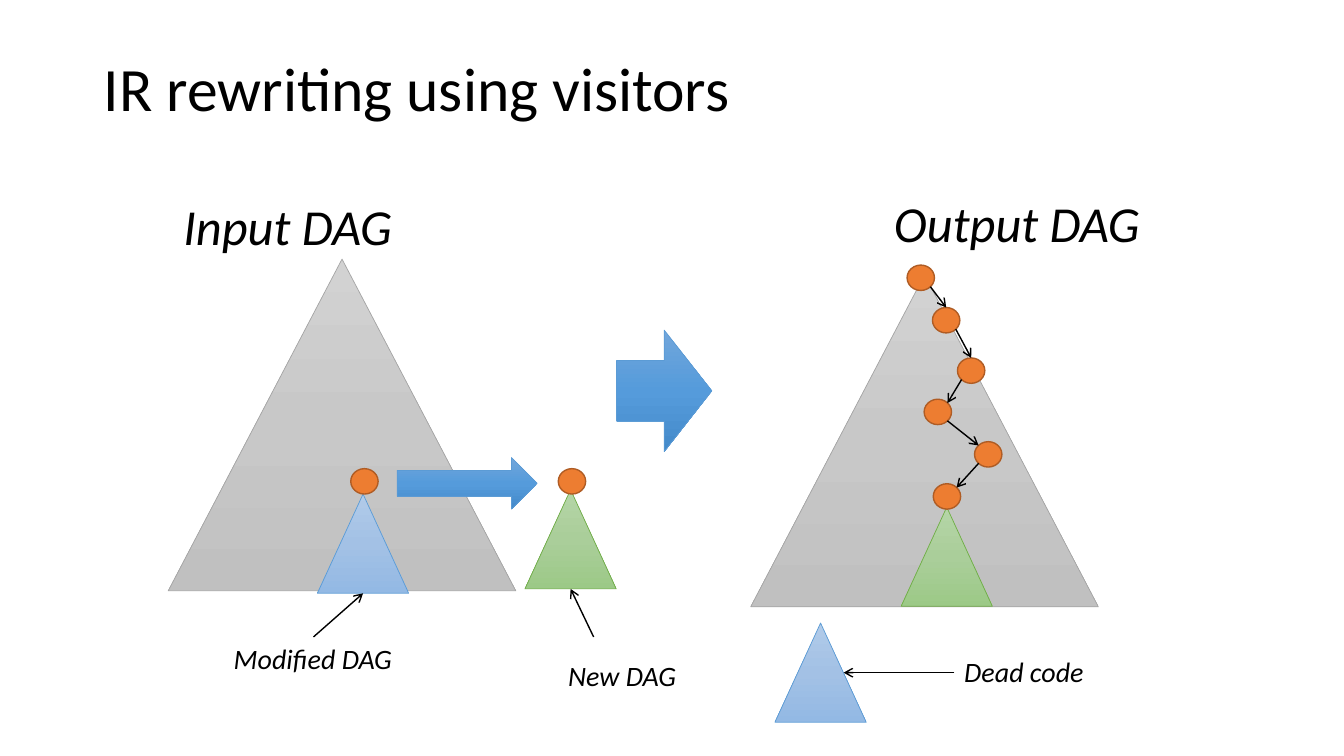
from copy import deepcopy

from lxml import etree
from pptx import Presentation
from pptx.dml.color import RGBColor
from pptx.enum.shapes import MSO_CONNECTOR, MSO_SHAPE
from pptx.enum.text import MSO_ANCHOR, MSO_AUTO_SIZE, PP_ALIGN
from pptx.oxml.ns import qn
from pptx.util import Cm, Pt

TRIANGLE = MSO_SHAPE.ISOSCELES_TRIANGLE
ELLIPSE = MSO_SHAPE.OVAL
BLOCK_ARROW = MSO_SHAPE.RIGHT_ARROW
STRAIGHT = MSO_CONNECTOR.STRAIGHT
MIDDLE = MSO_ANCHOR.MIDDLE
GROW = MSO_AUTO_SIZE.SHAPE_TO_FIT_TEXT
LEFT = PP_ALIGN.LEFT

BLACK = RGBColor(0x00, 0x00, 0x00)
ORANGE = RGBColor(0xED, 0x7D, 0x31)
ORANGE_EDGE = RGBColor(0xAF, 0x5C, 0x24)
GRAY_EDGE = RGBColor(0xA5, 0xA5, 0xA5)
GREEN_EDGE = RGBColor(0x70, 0xAD, 0x47)
BLUE_EDGE = RGBColor(0x5B, 0x9B, 0xD5)
GRAY = (RGBColor(0xD2, 0xD2, 0xD2), RGBColor(0xC8, 0xC8, 0xC8), RGBColor(0xC0, 0xC0, 0xC0))
GREEN = (RGBColor(0xB5, 0xD5, 0xA7), RGBColor(0xAA, 0xCE, 0x9A), RGBColor(0x9C, 0xC9, 0x87))
LIGHT_BLUE = (RGBColor(0xB1, 0xCB, 0xE9), RGBColor(0xA3, 0xC1, 0xE5), RGBColor(0x93, 0xB9, 0xE4))
BLUE = (RGBColor(0x71, 0xA6, 0xDB), RGBColor(0x55, 0x9B, 0xDB), RGBColor(0x44, 0x8A, 0xCA))

DAG_SIZE = (8.76, 8.36)
SUBDAG_SIZE = (2.3, 2.5)
NODE_SIZE = (0.69, 0.64)

# Points on a node's outline, as fractions of its width and height
TOP = (0.5, 0)
TOP_LEFT, TOP_RIGHT = (0.15, 0.15), (0.85, 0.15)
BOTTOM_LEFT, BOTTOM_RIGHT = (0.15, 0.85), (0.85, 0.85)

REWRITTEN_NODES = [(22.86, 6.68), (23.5, 7.75), (24.13, 9.02),
                   (23.29, 10.06), (24.56, 11.13), (23.52, 12.19)]
EDGE_ENDS = [(BOTTOM_RIGHT, TOP), (BOTTOM_RIGHT, TOP), (BOTTOM_LEFT, TOP_RIGHT),
             (BOTTOM_RIGHT, TOP_LEFT), (BOTTOM_LEFT, TOP_RIGHT)]


def write(frame, text, size, italic=False, line_spacing=None):
    paragraph = frame.paragraphs[0]
    paragraph.text = text
    paragraph.alignment = LEFT
    paragraph.line_spacing = line_spacing
    font = paragraph.runs[0].font
    font.name = "Calibri"
    font.size = Pt(size)
    font.italic = italic
    font.color.rgb = BLACK


def add_title(slide, text):
    title = slide.shapes.title
    title.left, title.top, title.width, title.height = Cm(2.36), Cm(0.71), Cm(22.86), Cm(3.18)
    title.text_frame.vertical_anchor = MIDDLE
    write(title.text_frame, text, 44, line_spacing=0.9)


def add_label(slide, text, left, top, width, height, size):
    label = slide.shapes.add_textbox(Cm(left), Cm(top), Cm(width), Cm(height))
    label.text_frame.word_wrap = False
    label.text_frame.auto_size = GROW
    write(label.text_frame, text, size, italic=True)


def add_outlined(slide, preset, position, size, edge, weight):
    shape = slide.shapes.add_shape(preset, *map(Cm, position + size))
    shape.shadow.inherit = False
    shape.line.color.rgb = edge
    shape.line.width = Pt(weight)
    return shape


def add_shaded(slide, preset, position, size, shades, edge):
    """Add a shape with a three-stop gradient from top to bottom."""
    fill = add_outlined(slide, preset, position, size, edge, 0.5).fill
    fill.gradient()
    fill.gradient_angle = 270
    stops = fill._fill._gradFill.find(qn("a:gsLst"))
    stops.insert(1, deepcopy(stops[0]))
    for stop, element, place, shade in zip(fill.gradient_stops, stops, (0, 50000, 100000), shades):
        stop.color.rgb = shade
        element.set("pos", str(place))


def add_node(slide, position):
    node = add_outlined(slide, ELLIPSE, position, NODE_SIZE, ORANGE_EDGE, 1)
    node.fill.solid()
    node.fill.fore_color.rgb = ORANGE


def add_arrow(slide, start, end):
    arrow = slide.shapes.add_connector(STRAIGHT, *map(Cm, start + end))
    arrow.line.color.rgb = BLACK
    arrow.line.width = Pt(1)
    etree.SubElement(arrow.line._get_or_add_ln(), qn("a:tailEnd"), type="arrow")
    etree.SubElement(arrow._element.spPr, qn("a:effectLst"))


def node_point(node, place):
    return tuple(corner + part * length
                 for corner, part, length in zip(node, place, NODE_SIZE))


def main():
    deck = Presentation()
    deck.slide_width, deck.slide_height = Cm(33.87), Cm(19.05)
    slide = deck.slides.add_slide(deck.slide_layouts[5])
    add_title(slide, "IR rewriting using visitors")

    for position, size, shades, edge in [
        ((18.92, 6.93), DAG_SIZE, GRAY, GRAY_EDGE),
        ((4.24, 6.53), DAG_SIZE, GRAY, GRAY_EDGE),
        ((22.71, 12.78), SUBDAG_SIZE, GREEN, GREEN_EDGE),
        ((13.23, 12.34), SUBDAG_SIZE, GREEN, GREEN_EDGE),
        ((8, 12.45), SUBDAG_SIZE, LIGHT_BLUE, BLUE_EDGE),
        ((19.53, 15.7), SUBDAG_SIZE, LIGHT_BLUE, BLUE_EDGE),
    ]:
        add_shaded(slide, TRIANGLE, position, size, shades, edge)

    add_shaded(slide, BLOCK_ARROW, (15.54, 8.32), (2.4, 3.06), BLUE, BLUE_EDGE)
    add_shaded(slide, BLOCK_ARROW, (10.01, 11.53), (3.53, 1.3), BLUE, BLUE_EDGE)

    for node in [(8.84, 11.81), (14.07, 11.81)] + REWRITTEN_NODES:
        add_node(slide, node)
    for parent, child, (leave, enter) in zip(REWRITTEN_NODES, REWRITTEN_NODES[1:], EDGE_ENDS):
        add_arrow(slide, node_point(parent, leave), node_point(child, enter))

    add_label(slide, "Input DAG", 4.37, 4.78, 5.82, 1.8, 36)
    add_label(slide, "Output DAG", 22.28, 4.72, 6.76, 1.8, 36)
    add_label(slide, "Modified DAG", 5.64, 16.05, 4.55, 1.12, 20)
    add_label(slide, "New DAG", 14.07, 16.46, 3.25, 1.12, 20)
    add_label(slide, "Dead code", 24.05, 16.38, 3.53, 1.12, 20)

    add_arrow(slide, (7.9, 16.05), (9.15, 14.95))
    add_arrow(slide, (14.96, 16.05), (14.38, 14.84))
    add_arrow(slide, (24.05, 16.95), (21.26, 16.95))

    deck.save("out.pptx")


if __name__ == "__main__":
    main()
